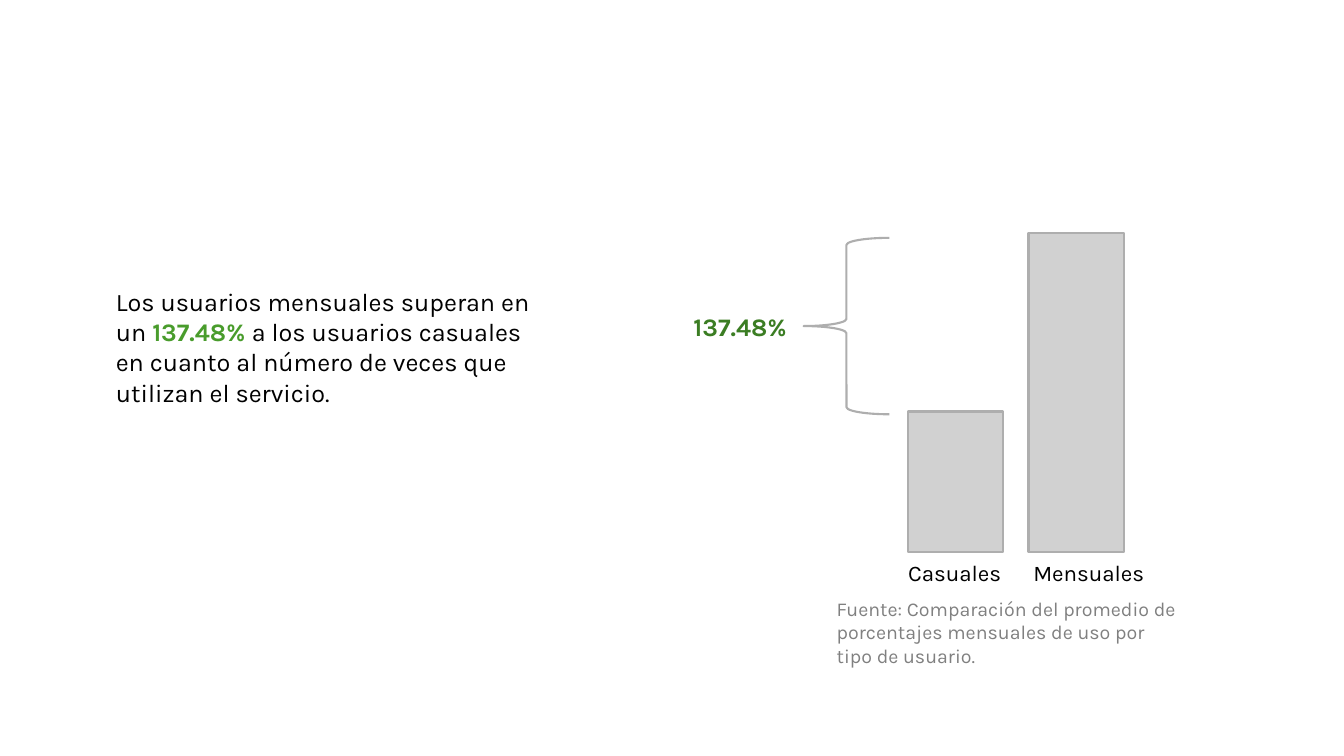
from lxml import etree
from pptx import Presentation
from pptx.chart.data import CategoryChartData
from pptx.dml.color import RGBColor
from pptx.enum.chart import XL_CHART_TYPE
from pptx.enum.shapes import MSO_SHAPE
from pptx.oxml.ns import qn
from pptx.util import Inches, Pt

FONT = "Karla"
COLORS = {
    "text": "000000",
    "highlight": "499C2C",
    "difference": "3B7D23",
    "source": "808080",
    "bar": "D1D1D1",
    "outline": "AEAEAE",
}

STATEMENT = [
    ("Los usuarios mensuales superan en un ", None),
    ("137.48% ", "highlight"),
    ("a los usuarios casuales en cuanto al número de veces que utilizan el servicio.", None),
]
DIFFERENCE = [("137.48%", "difference")]
SOURCE = [("Fuente: Comparación del promedio de porcentajes mensuales de uso por tipo de usuario.", None)]
# label, value, left edge of the label
USERS = [("Casuales", 44, 8.91), ("Mensuales", 100, 10.15)]
AXIS_MAX = 106.7
PLOT_AREA = {"x": 0.046, "y": 0.091, "w": 0.932, "h": 0.834}


def rgb(name):
    return RGBColor.from_string(COLORS[name])


def outline(line):
    line.color.rgb = rgb("outline")
    line.width = Pt(1.5)


def add_text(slide, pieces, box, size=18, color="text"):
    """Pieces are (text, accent) pairs; an accent makes the piece bold in that colour."""
    frame = slide.shapes.add_textbox(*map(Inches, box)).text_frame
    frame.word_wrap = True
    for text, accent in pieces:
        run = frame.paragraphs[0].add_run()
        run.text = text
        run.font.name = FONT
        run.font.size = Pt(size)
        run.font.bold = accent is not None
        run.font.color.rgb = rgb(accent or color)


def fix_plot_area(chart):
    """Give the inner plot area its place as fractions of the chart."""
    plot_area = chart.plots[0]._element.getparent()
    layout = plot_area.find(qn("c:layout"))
    if layout is None:
        layout = etree.Element(qn("c:layout"))
        plot_area.insert(0, layout)
    manual = etree.SubElement(layout, qn("c:manualLayout"))
    settings = {"layoutTarget": "inner", "xMode": "edge", "yMode": "edge", **PLOT_AREA}
    for tag, value in settings.items():
        etree.SubElement(manual, qn(f"c:{tag}")).set("val", str(value))


def add_usage_chart(slide, box):
    usage = CategoryChartData(number_format="#,##0")
    usage.categories = ["1"]
    for label, value, _ in USERS:
        usage.add_series(label, [value])
    chart = slide.shapes.add_chart(
        XL_CHART_TYPE.COLUMN_CLUSTERED, *map(Inches, box), usage).chart
    chart.has_title = False
    chart.has_legend = False
    chart.font.name = FONT
    chart.font.size = Pt(10)
    chart.font.color.rgb = rgb("text")
    chart.value_axis.minimum_scale = 0
    chart.value_axis.maximum_scale = AXIS_MAX
    chart.value_axis.has_major_gridlines = False
    chart.value_axis.visible = False
    chart.category_axis.visible = False
    columns = chart.plots[0]
    columns.vary_by_categories = False
    columns.gap_width = 219
    columns.overlap = -27
    for series in columns.series:
        series.format.fill.solid()
        series.format.fill.fore_color.rgb = rgb("bar")
        outline(series.format.line)
    fix_plot_area(chart)


def add_difference_brace(slide, box):
    brace = slide.shapes.add_shape(MSO_SHAPE.LEFT_BRACE, *map(Inches, box))
    brace.shadow.inherit = False
    brace.fill.background()
    outline(brace.line)


def main():
    deck = Presentation()
    deck.slide_width, deck.slide_height = Inches(13.33), Inches(7.5)
    slide = deck.slides.add_slide(deck.slide_layouts[6])

    add_usage_chart(slide, (7.76, 1.73, 4.52, 4.05))
    add_difference_brace(slide, (7.97, 2.36, 0.85, 1.75))
    for label, _, left in USERS:
        add_text(slide, [(label, None)], (left, 5.5, 1.4, 0.37), size=16)
    add_text(slide, DIFFERENCE, (6.78, 3.04, 1.96, 0.4))
    add_text(slide, STATEMENT, (1.05, 2.79, 4.52, 1.31))
    add_text(slide, SOURCE, (8.2, 5.87, 3.63, 0.81), size=14, color="source")

    deck.save("out.pptx")


if __name__ == "__main__":
    main()
